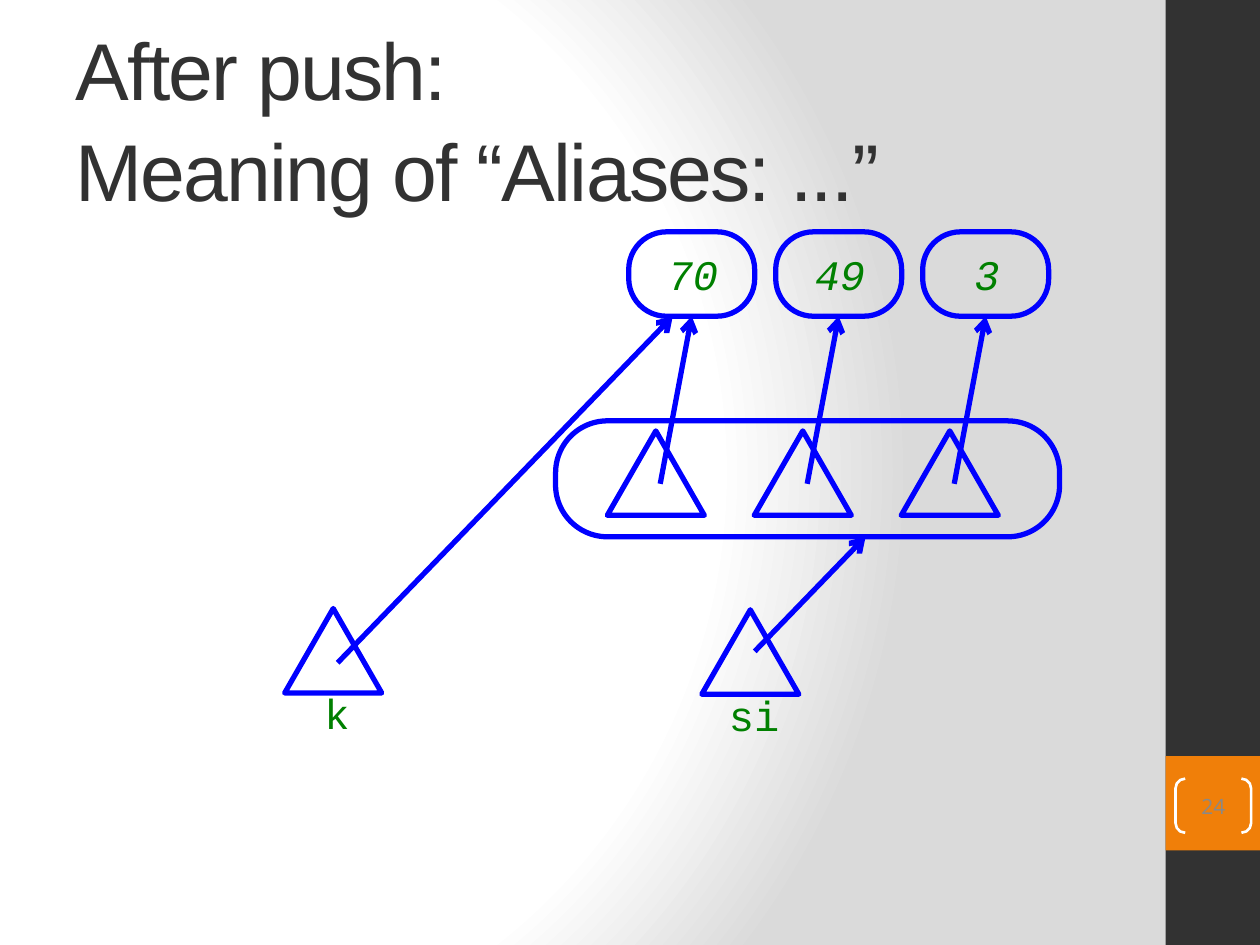
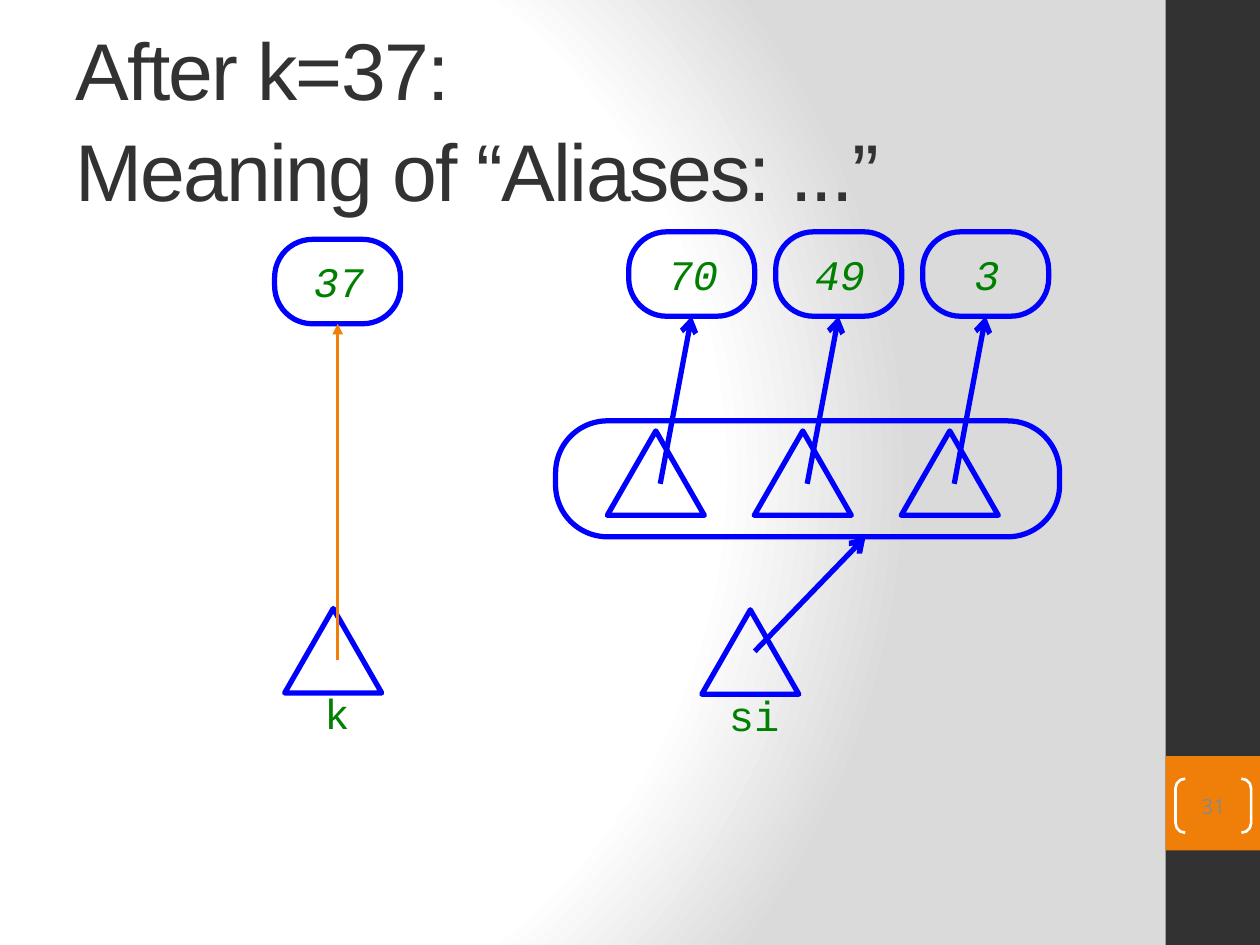
from dataclasses import dataclass
from typing import Optional

from lxml import etree
from pptx import Presentation
from pptx.dml.color import RGBColor
from pptx.enum.shapes import MSO_CONNECTOR, MSO_SHAPE
from pptx.enum.text import MSO_ANCHOR, MSO_AUTO_SIZE, PP_ALIGN
from pptx.oxml import parse_xml
from pptx.oxml.ns import nsdecls, qn
from pptx.util import Inches, Pt

RECTANGLE = MSO_SHAPE.RECTANGLE
ROUNDED = MSO_SHAPE.ROUNDED_RECTANGLE
TRIANGLE = MSO_SHAPE.ISOSCELES_TRIANGLE
BRACKETS = MSO_SHAPE.DOUBLE_BRACKET
STRAIGHT = MSO_CONNECTOR.STRAIGHT
LEFT, CENTER = PP_ALIGN.LEFT, PP_ALIGN.CENTER
TOP, MIDDLE = MSO_ANCHOR.TOP, MSO_ANCHOR.MIDDLE
NO_FIT, GROW = MSO_AUTO_SIZE.NONE, MSO_AUTO_SIZE.SHAPE_TO_FIT_TEXT

COLORS = {
    "dark": "323232",
    "orange": "F07F09",
    "white": "FFFFFF",
    "shade": "DADADA",
    "blue": "0000FF",
    "green": "008000",
    "gray": "898989",
}
TITLE_FONT, CODE_FONT, NUMBER_FONT = "Arial", "Courier New", "Open Sans"
TITLE_ONLY = 5

# Diagram grid, in inches
COLUMNS = 3
PITCH = 3.5 / COLUMNS
PILL_SIZE = (1.0, 0.67)
TRIANGLE_SIZE = (0.77, 0.67)
FIRST_PILL = (4.99, 1.84)
FIRST_REFERENCE = (4.82, 3.42)
ROUNDING = 0.448


@dataclass
class Arrow:
    start: tuple[float, float]
    end: tuple[float, float]
    color: str = "blue"
    width: float = 3
    head: str = "arrow"


@dataclass
class Variable:
    name: str
    left: float
    top: float


@dataclass
class Value:
    text: str
    left: float
    top: float


@dataclass
class AliasPage:
    event: str
    number: str
    k_arrow: Arrow
    k_value: Optional[Value] = None


VARIABLES = [Variable("si", 5.57, 4.84), Variable("k", 2.26, 4.83)]
STACK_VALUES = ["70", "49", "3"]
PAGES = [
    AliasPage("After push: ", "24", Arrow((2.68, 5.26), (5.34, 2.51))),
    AliasPage("After k=37: ", "31",
              Arrow((2.68, 5.24), (2.68, 2.57), "orange", 2, "triangle"),
              Value("37", 2.18, 1.9)),
]


def rgb(name: str) -> RGBColor:
    return RGBColor.from_string(COLORS[name])


def add_run(para, text: str, font: str, size: float, color: str, italic: bool = False):
    span = para.add_run()
    span.text = text
    span.font.name, span.font.size = font, Pt(size)
    span.font.italic = italic or None
    span.font.color.rgb = rgb(color)


def add_shape(shapes, kind, left: float, top: float, width: float, height: float,
              fill: Optional[str] = None, line: Optional[str] = None,
              line_width: float = 3, rounding: Optional[float] = None):
    shape = shapes.add_shape(kind, Inches(left), Inches(top), Inches(width), Inches(height))
    shape.shadow.inherit = False
    if fill:
        shape.fill.solid()
        shape.fill.fore_color.rgb = rgb(fill)
    else:
        shape.fill.background()
    if line:
        shape.line.color.rgb = rgb(line)
        shape.line.width = Pt(line_width)
    else:
        shape.line.fill.background()
    if rounding is not None:
        shape.adjustments[0] = rounding
    return shape


def add_code(shapes, text: str, left: float, top: float, width: float, height: float,
             anchor=TOP, italic: bool = False):
    box = shapes.add_textbox(Inches(left), Inches(top), Inches(width), Inches(height))
    frame = box.text_frame
    frame.word_wrap, frame.auto_size = True, GROW
    frame.vertical_anchor = anchor
    para = frame.paragraphs[0]
    para.alignment = CENTER
    add_run(para, text, CODE_FONT, 24, "green", italic)
    return box


def add_arrow(shapes, arrow: Arrow) -> None:
    ends = [Inches(length) for length in (*arrow.start, *arrow.end)]
    connector = shapes.add_connector(STRAIGHT, *ends)
    connector.line.color.rgb = rgb(arrow.color)
    connector.line.width = Pt(arrow.width)
    line = connector.line._get_or_add_ln()
    etree.SubElement(line, qn("a:tailEnd"), type=arrow.head)
    etree.SubElement(connector.element.spPr, qn("a:effectLst"))


def add_value(shapes, value: Value) -> None:
    group = shapes.add_group_shape()
    add_shape(group.shapes, ROUNDED, value.left, value.top, *PILL_SIZE,
              line="blue", rounding=ROUNDING)
    add_code(group.shapes, value.text, value.left + 0.04, value.top + 0.08, 0.94, 0.5,
             MIDDLE, italic=True)


def add_variable(shapes, variable: Variable) -> None:
    label = add_code(shapes, variable.name, variable.left - 0.25, variable.top + 0.58, 1.33, 0.51)
    outline = parse_xml(
        f'<a:ln {nsdecls("a")} w="{Pt(0.75)}"><a:solidFill>'
        f'<a:srgbClr val="{COLORS["blue"]}"/></a:solidFill></a:ln>')
    next(label.element.iter(qn("a:rPr"))).insert(0, outline)
    add_shape(shapes, TRIANGLE, variable.left, variable.top, *TRIANGLE_SIZE, line="blue")


def add_stack(shapes) -> None:
    add_arrow(shapes, Arrow((5.99, 5.17), (6.87, 4.26)))
    add_shape(shapes, ROUNDED, 4.41, 3.34, 4, 0.92, line="blue", rounding=ROUNDING)
    for column, text in enumerate(STACK_VALUES):
        offset = column * PITCH
        left, top = FIRST_REFERENCE
        add_shape(shapes, TRIANGLE, left + offset, top, *TRIANGLE_SIZE, line="blue")
        add_value(shapes, Value(text, FIRST_PILL[0] + offset, FIRST_PILL[1]))
        add_arrow(shapes, Arrow((5.24 + offset, 3.84), (5.49 + offset, 2.51)))


def set_title(title, event: str) -> None:
    title.left, title.top = Inches(0.5), Inches(0.3)
    title.width, title.height = Inches(8.33), Inches(1.25)
    frame = title.text_frame
    frame.word_wrap, frame.auto_size = True, NO_FIT
    frame.vertical_anchor = MIDDLE
    para = frame.paragraphs[0]
    para.alignment, para.line_spacing = LEFT, 1.05
    add_run(para, event, TITLE_FONT, 46, "dark")
    para.add_line_break()
    add_run(para, "Meaning of “Aliases: ...”", TITLE_FONT, 46, "dark")
    for properties in title.element.iter(qn("a:rPr")):
        properties.set("spc", "-100")


def add_number(shapes, number: str) -> None:
    box = add_shape(shapes, BRACKETS, 9.33, 6.18, 0.6, 0.43,
                    line="white", line_width=1.5, rounding=0.179)
    frame = box.text_frame
    frame.margin_left = frame.margin_right = frame.margin_top = frame.margin_bottom = 0
    frame.vertical_anchor = MIDDLE
    para = frame.paragraphs[0]
    para.alignment = CENTER
    add_run(para, number, NUMBER_FONT, 12, "gray")


def style_master(master, shapes) -> None:
    """Give the master its radial background and the bands on the right."""
    content = master.element.cSld
    for old in content.findall(qn("p:bg")):
        content.remove(old)
    stops = "".join(
        f'<a:gs pos="{percent * 1000}"><a:srgbClr val="{COLORS[color]}"/></a:gs>'
        for percent, color in [(0, "white"), (75, "white"), (100, "shade")])
    content.insert(0, parse_xml(
        f'<p:bg {nsdecls("p", "a")}><p:bgPr><a:gradFill rotWithShape="1">'
        f'<a:gsLst>{stops}</a:gsLst><a:path path="circle">'
        '<a:fillToRect l="20000" t="50000" r="100000" b="50000"/></a:path>'
        '</a:gradFill><a:effectLst/></p:bgPr></p:bg>'))
    for top, height, color in [(0, 7.5, "dark"), (6, 0.75, "orange")]:
        band = add_shape(shapes, RECTANGLE, 9.25, top, 0.75, height, fill=color)
        content.spTree.append(band.element)


deck = Presentation()
deck.slide_width, deck.slide_height = Inches(10), Inches(7.5)

for index, alias_page in enumerate(PAGES):
    page = deck.slides.add_slide(deck.slide_layouts[TITLE_ONLY])
    if index == 0:
        style_master(deck.slide_master, page.shapes)
    set_title(page.shapes.title, alias_page.event)
    add_number(page.shapes, alias_page.number)

    # Variables, the stack and what they refer to
    for variable in VARIABLES:
        add_variable(page.shapes, variable)
    add_stack(page.shapes)
    if alias_page.k_value:
        add_value(page.shapes, alias_page.k_value)
    add_arrow(page.shapes, alias_page.k_arrow)

deck.save("out.pptx")
